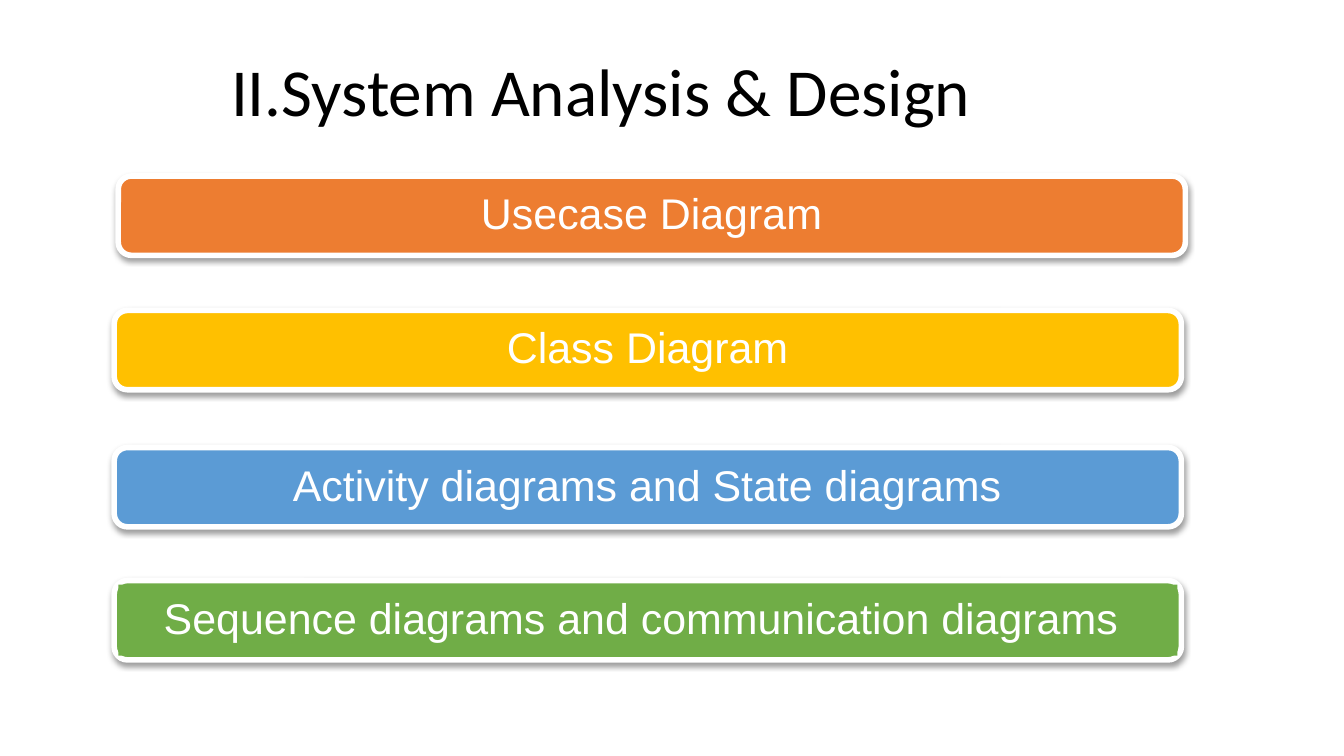
from lxml import etree
from pptx import Presentation
from pptx.dml.color import RGBColor
from pptx.enum.shapes import MSO_SHAPE
from pptx.enum.text import MSO_ANCHOR, PP_ALIGN
from pptx.oxml.ns import qn
from pptx.util import Inches, Pt

ROUND, RECT = MSO_SHAPE.ROUNDED_RECTANGLE, MSO_SHAPE.RECTANGLE
MID, LEFT, CENTER = MSO_ANCHOR.MIDDLE, PP_ALIGN.LEFT, PP_ALIGN.CENTER
WIDE = Inches(10)
HIGH = WIDE * 9 // 16
EDGE = 0.3
BARS = [
    ("Usecase Diagram", "ED7D31", 8.8, 13.1, False),
    ("Class Diagram", "FFC000", 8.5, 23.1, False),
    ("Activity diagrams and State diagrams", "5B9BD5", 8.5, 33.3, False),
    ("Sequence diagrams and communication diagrams ", "70AD47", 8.5, 43.2, True),
]


def color(code):
    """Turn a hex string into a colour."""
    return RGBColor.from_string(code)


def place(*parts):
    """Turn percents of the slide width into lengths."""
    return [round(WIDE * part / 100) for part in parts]


def apply(item, form):
    """Set each attribute named in a dict."""
    for name, value in form.items():
        setattr(item, name, value)


def paint(shape, code):
    """Fill a shape with one colour."""
    shape.fill.solid()
    shape.fill.fore_color.rgb = color(code)


def write(shape, text, font, size, code, align, pads):
    """Fill a shape with one line of formatted text."""
    frame = shape.text_frame
    side, top = map(Inches, pads)
    apply(frame, {"word_wrap": True, "vertical_anchor": MID,
                  "margin_left": side, "margin_right": side,
                  "margin_top": top, "margin_bottom": top})
    line = frame.paragraphs[0]
    apply(line, {"text": text, "alignment": align, "line_spacing": 0.9})
    run = line.runs[0]
    apply(run.font, {"name": font, "size": Pt(size)})
    run.font.color.rgb = color(code)


def shade(shape):
    """Give a shape a soft shadow below it."""
    shape.shadow.inherit = False
    glow = shape._element.spPr.find(qn("a:effectLst"))
    drop = etree.SubElement(glow, qn("a:outerShdw"), blurRad="40000",
                            dist="20000", dir="5400000", rotWithShape="0")
    tone = etree.SubElement(drop, qn("a:srgbClr"), val="000000")
    etree.SubElement(tone, qn("a:alpha"), val="38000")


def add_title(slide, text):
    """Add the slide heading."""
    box = slide.shapes.add_textbox(*place(16.5, 3, 76.6, 8.1))
    write(box, text, "Calibri", 36, "000000", LEFT, (0.07, 0.04))


def add_label(group, spot, code, solid):
    """Add a filled rectangle or a plain text box."""
    if not solid:
        return group.add_textbox(*spot)
    label = group.add_shape(RECT, *spot)
    label.shadow.inherit = False
    label.line.fill.background()
    paint(label, code)
    return label


def add_bar(slide, text, code, left, top, solid):
    """Add a grouped bar with its label."""
    group = slide.shapes.add_group_shape().shapes
    bar = group.add_shape(ROUND, *place(left, top, 79.4, 5.9))
    paint(bar, code)
    bar.line.color.rgb = color("FFFFFF")
    bar.line.width = Pt(3)
    shade(bar)
    spot = place(left + EDGE, top + EDGE, 78.8, 5.3)
    label = add_label(group, spot, code, solid)
    write(label, text, "Arial", 23, "FFFFFF", CENTER, (0.1, 0.1))


def main():
    """Build and save the slide."""
    deck = Presentation()
    apply(deck, {"slide_width": WIDE, "slide_height": HIGH})
    slide = deck.slides.add_slide(deck.slide_layouts[6])
    add_title(slide, "II.System Analysis & Design")
    for bar in BARS:
        add_bar(slide, *bar)
    deck.save("out.pptx")


if __name__ == "__main__":
    main()
